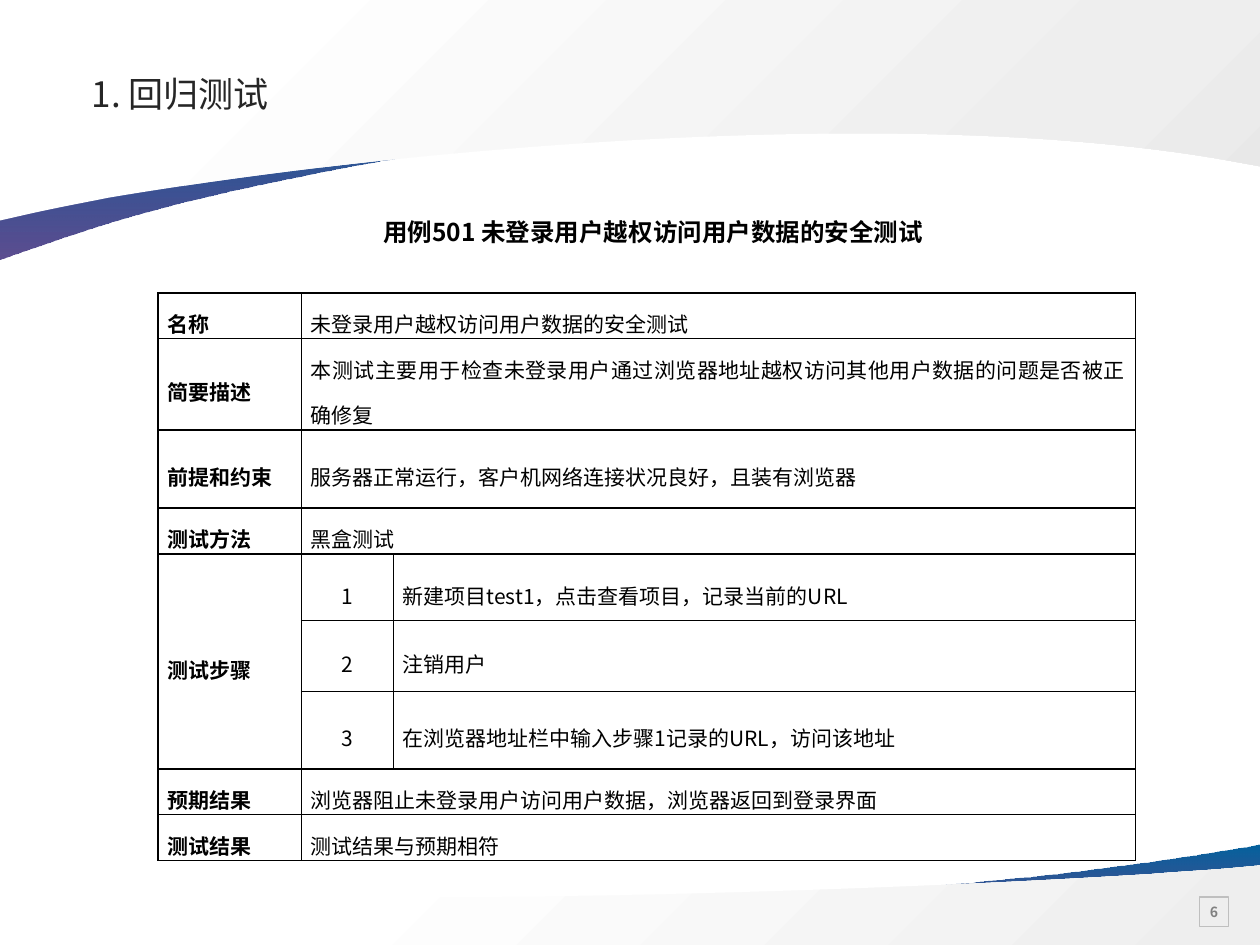
from dataclasses import dataclass

from lxml import etree
from pptx import Presentation
from pptx.dml.color import RGBColor
from pptx.enum import shapes, text
from pptx.oxml import ns, parse_xml
from pptx.util import Pt


@dataclass(frozen=True)
class Theme:
    font: str = "Noto Sans CJK SC"
    ink: str = "000000"
    title_ink: str = "262626"
    number_ink: str = "808080"
    number_line: str = "BFBFBF"
    title_size: float = 20
    caption_size: float = 14
    table_size: float = 12
    number_size: float = 8
    ribbon: tuple = ((0, "04619D", 100), (100, "342275", 80))
    header: tuple = ((17, "FFFFFF", 100), (81, "EEEEEE", 100), (100, "E8E8E8", 100))
    footer: tuple = ((26, "FFFFFF", 100), (100, "EEEEEE", 100))


THEME = Theme()
WIDTH, HEIGHT = 720, 540

# Outlines in points: a pair is a corner, a triple of pairs is a Bezier curve.
FOOTER_RIBBON = [
    (720, 482.4), (720, 529.2), (0, 529.2), (0, 509.8), (0.7, 509.8),
    ((162.7, 533.5), (442.8, 516.2), (604.1, 499.1)),
    ((636.5, 495.4), (673.2, 490.3), (712.1, 483.8)),
]
FOOTER_BAND = [
    (720, 494.6), (720, 512.6), (720, 514.8), (720, HEIGHT),
    (0, HEIGHT), (0, 514.8), (0, 512.6), (0, 506.2), (23.8, 507.6),
    ((211.7, 519.1), (491.8, 509.8), (658.1, 499.5)),
    ((672.5, 498.2), (688.3, 497.5), (704.2, 496.1)),
]
HEADER_RIBBON = [
    (0, 148.3), (0, 47.5), (720, 47.5), (720, 89.3), (719.3, 88.6),
    ((557.3, 38.2), (277.2, 74.2), (115.9, 113)),
    ((83.5, 120.2), (46.8, 131.8), (7.9, 145.4)),
]
HEADER_BAND = [
    (0, 126), (0, 75.6), (0, 71.3), (0, 0),
    (720, 0), (720, 71.3), (720, 75.6), (720, 95), (696.2, 90.7),
    ((508.3, 59), (228.2, 85), (61.9, 113)),
    ((47.5, 115.9), (31.7, 118.8), (15.8, 122.4)),
]

COLUMNS = [82.1, 52.5, 424.1]
LINE_ROW = 26.1
# Label, content and row height; a list of steps takes one row for each.
CASE = [
    ("名称", "未登录用户越权访问用户数据的安全测试", LINE_ROW),
    ("简要描述", "本测试主要用于检查未登录用户通过浏览器地址越权访问其他用户数据的问题是否被正确修复", 52.2),
    ("前提和约束", "服务器正常运行，客户机网络连接状况良好，且装有浏览器", 44.7),
    ("测试方法", "黑盒测试", LINE_ROW),
    ("测试步骤", [
        ("新建项目test1，点击查看项目，记录当前的URL", 38.2),
        ("注销用户", 40.5),
        ("在浏览器地址栏中输入步骤1记录的URL，访问该地址", 44.2),
    ], None),
    ("预期结果", "浏览器阻止未登录用户访问用户数据，浏览器返回到登录界面", LINE_ROW),
    ("测试结果", "测试结果与预期相符", LINE_ROW),
]


def apply(target, **values):
    for name, value in values.items():
        setattr(target, name, value)


def write(frame, words, size, color, bold=False, **paragraph_format):
    frame.text = words
    paragraph = frame.paragraphs[0]
    apply(paragraph, **paragraph_format)
    run = paragraph.runs[0]
    apply(run.font, name=THEME.font, size=Pt(size), bold=bold)
    run.font.color.rgb = RGBColor.from_string(color)
    east_asian = etree.SubElement(run.font._element, ns.qn("a:ea"))
    east_asian.set("typeface", THEME.font)
    return paragraph


def bend(band, outline):
    """Turn the straight segments that stand for curves into Bezier segments."""
    segments = list(band._element.iter(ns.qn("a:lnTo")))
    for segment, part in zip(segments, outline[1:]):
        if len(part) == 3:
            controls = "".join(
                f'<a:pt x="{Pt(x) - band.left}" y="{Pt(y) - band.top}"/>' for x, y in part)
            curve = parse_xml(
                f'<a:cubicBezTo {ns.nsdecls("a")}>{controls}</a:cubicBezTo>')
            segment.getparent().replace(segment, curve)


def add_swoosh(slide, outline, stops, angle):
    """Draw a closed, curved band with a linear gradient."""
    ends = [part[-1] if len(part) == 3 else part for part in outline]
    corners = [(Pt(x), Pt(y)) for x, y in ends]
    builder = slide.shapes.build_freeform(*corners[0])
    builder.add_line_segments(corners[1:], close=True)
    band = builder.convert_to_shape()
    bend(band, outline)
    band.shadow.inherit = False
    band.line.fill.background()
    band.fill.background()
    listed = "".join(
        f'<a:gs pos="{place * 1000}"><a:srgbClr val="{color}">'
        f'<a:alpha val="{opacity * 1000}"/></a:srgbClr></a:gs>'
        for place, color, opacity in stops)
    gradient = parse_xml(
        f'<a:gradFill {ns.nsdecls("a")} rotWithShape="1"><a:gsLst>{listed}</a:gsLst>'
        f'<a:lin ang="{angle * 60000}" scaled="0"/></a:gradFill>')
    properties = band._element.spPr
    properties.replace(properties.find(ns.qn("a:noFill")), gradient)


def add_page_number(slide, number):
    box = slide.shapes.add_shape(
        shapes.MSO_SHAPE.RECTANGLE, Pt(685.4), Pt(512.6), Pt(16.8), Pt(16.8))
    box.shadow.inherit = False
    box.fill.background()
    box.line.color.rgb = RGBColor.from_string(THEME.number_line)
    box.line.width = Pt(0.75)
    inset = Pt(5.8)
    apply(box.text_frame, word_wrap=False, vertical_anchor=text.MSO_ANCHOR.MIDDLE,
          margin_left=inset, margin_right=inset, margin_top=inset, margin_bottom=inset)
    write(box.text_frame, number, THEME.number_size, THEME.number_ink, True,
          alignment=text.PP_ALIGN.CENTER)


def set_title(slide, words):
    title = slide.shapes.title
    apply(title, left=Pt(46.6), top=Pt(33.8), width=Pt(558.7), height=Pt(41.8))
    apply(title.text_frame, vertical_anchor=text.MSO_ANCHOR.MIDDLE, margin_left=Pt(5.8),
          margin_right=0, margin_top=Pt(5.8), margin_bottom=Pt(5.8))
    write(title.text_frame, words, THEME.title_size, THEME.title_ink,
          alignment=text.PP_ALIGN.LEFT, line_spacing=0.9)
    slide.shapes._spTree.append(title._element)  # bring in front of the bands


def add_caption(slide, words):
    caption = slide.shapes.add_textbox(Pt(184.3), Pt(120.2), Pt(370.8), Pt(24.5)).text_frame
    apply(caption, word_wrap=True, vertical_anchor=text.MSO_ANCHOR.MIDDLE,
          auto_size=text.MSO_AUTO_SIZE.SHAPE_TO_FIT_TEXT)
    paragraph = write(caption, words, THEME.caption_size, THEME.ink, True,
                      alignment=text.PP_ALIGN.CENTER)
    paragraph._p.get_or_add_pPr().set("indent", str(Pt(7.2)))


def frame_cell(cell):
    apply(cell, vertical_anchor=text.MSO_ANCHOR.MIDDLE, margin_left=Pt(5.4),
          margin_right=Pt(5.4), margin_top=0, margin_bottom=0)
    cell.fill.background()
    for order, side in enumerate("LRTB"):
        border = parse_xml(
            f'<a:ln{side} {ns.nsdecls("a")} w="{Pt(1)}"><a:solidFill>'
            f'<a:srgbClr val="{THEME.ink}"/></a:solidFill></a:ln{side}>')
        cell._tc.get_or_add_tcPr().insert(order, border)


def write_cell(cell, words, bold=False, alignment=text.PP_ALIGN.JUSTIFY):
    write(cell.text_frame, words, THEME.table_size, THEME.ink, bold,
          alignment=alignment, line_spacing=1.5)


def add_case_table(slide):
    heights = []
    for _, content, height in CASE:
        heights += [h for _, h in content] if isinstance(content, list) else [height]
    table = slide.shapes.add_table(len(heights), len(COLUMNS), Pt(90.2), Pt(167.3),
                                   Pt(sum(COLUMNS)), Pt(sum(heights))).table
    apply(table, first_row=False, horz_banding=False)
    for column, width in zip(table.columns, COLUMNS):
        column.width = Pt(width)
    for row, height in zip(table.rows, heights):
        row.height = Pt(height)
    for cell in table.iter_cells():
        frame_cell(cell)

    row = 0
    for label, content, _ in CASE:
        write_cell(table.cell(row, 0), label, bold=True)
        if isinstance(content, list):
            table.cell(row, 0).merge(table.cell(row + len(content) - 1, 0))
            for number, (step, _) in enumerate(content, 1):
                write_cell(table.cell(row, 1), str(number), alignment=text.PP_ALIGN.CENTER)
                write_cell(table.cell(row, 2), step)
                row += 1
        else:
            table.cell(row, 1).merge(table.cell(row, 2))
            write_cell(table.cell(row, 1), content)
            row += 1


def main():
    deck = Presentation()
    apply(deck, slide_width=Pt(WIDTH), slide_height=Pt(HEIGHT))
    slide = deck.slides.add_slide(deck.slide_layouts[5])
    add_swoosh(slide, FOOTER_RIBBON, THEME.ribbon, 90)
    add_swoosh(slide, FOOTER_BAND, THEME.footer, 45)
    add_swoosh(slide, HEADER_RIBBON, THEME.ribbon, 90)
    add_swoosh(slide, HEADER_BAND, THEME.header, 45)
    add_page_number(slide, "6")
    set_title(slide, "1. 回归测试")
    add_case_table(slide)
    add_caption(slide, "用例501 未登录用户越权访问用户数据的安全测试")
    deck.save("out.pptx")


if __name__ == "__main__":
    main()
